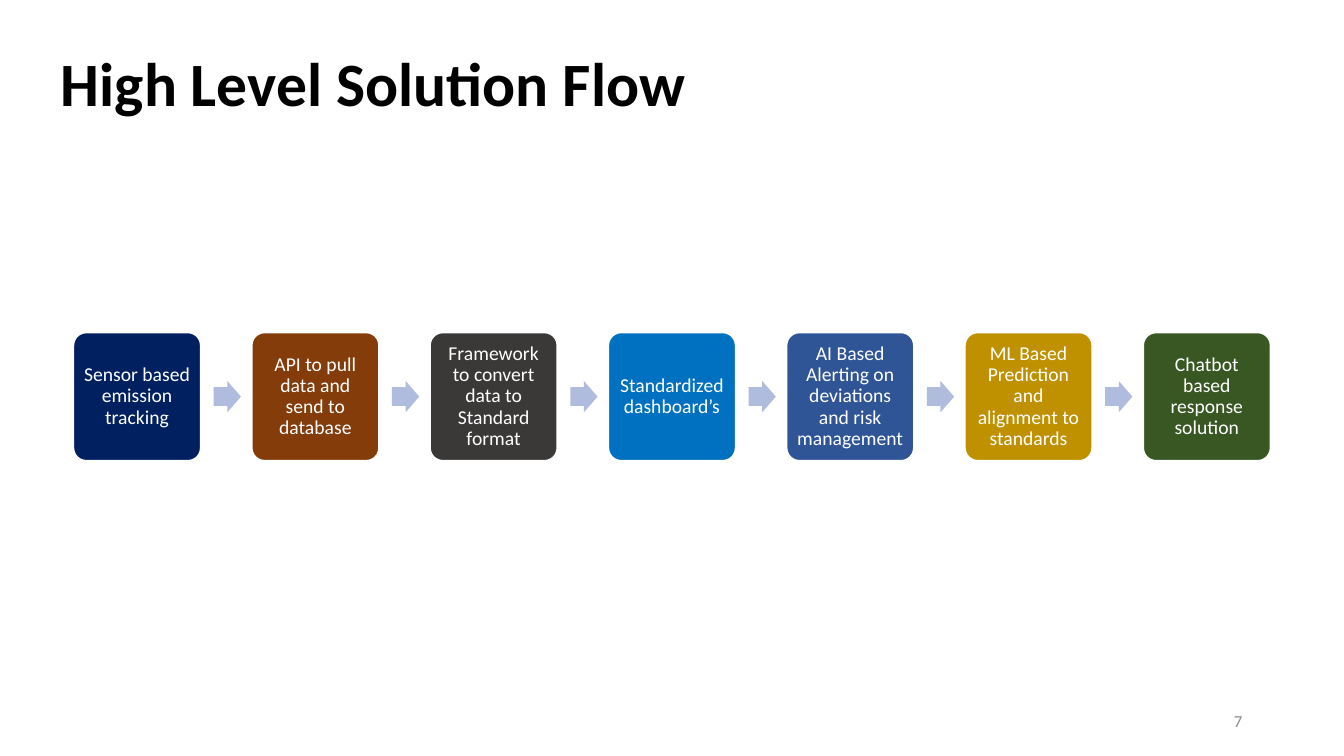
from pptx import Presentation
from pptx.dml.color import RGBColor
from pptx.enum.shapes import MSO_SHAPE
from pptx.enum.text import MSO_ANCHOR, MSO_AUTO_SIZE, PP_ALIGN
from pptx.util import Inches, Pt

ROUNDED, ARROW = MSO_SHAPE.ROUNDED_RECTANGLE, MSO_SHAPE.RIGHT_ARROW
MIDDLE, BOTTOM = MSO_ANCHOR.MIDDLE, MSO_ANCHOR.BOTTOM
CENTER, RIGHT = PP_ALIGN.CENTER, PP_ALIGN.RIGHT
NO_AUTOFIT = MSO_AUTO_SIZE.NONE

STEPS = [
    ("Sensor based emission tracking", "002060"),
    ("API to pull data and send to database", "843C0B"),
    ("Framework to convert data to Standard format", "3B3838"),
    ("Standardized dashboard’s", "0070C0"),
    ("AI Based Alerting on deviations and risk management", "2F5597"),
    ("ML Based Prediction and alignment to standards", "BF9000"),
    ("Chatbot based response solution", "385723"),
]
FIRST_LEFT, LAST_LEFT = 0.73, 11.34
STEP_PITCH = (LAST_LEFT - FIRST_LEFT) / (len(STEPS) - 1)
ARROW_OFFSET = 1.39


def color(hex_code):
    return RGBColor.from_string(hex_code)


class FlowSlide:
    font = "Calibri"
    arrow_fill = "B0BCDE"

    def __init__(self, slide):
        self.slide = slide

    def set_text(self, frame, text, size, hex_code, align, anchor, bold=False, spacing=None):
        frame.word_wrap = True
        frame.auto_size = NO_AUTOFIT
        frame.vertical_anchor = anchor
        line = frame.paragraphs[0]
        line.text = text
        line.alignment = align
        line.line_spacing = spacing
        line.font.name = self.font
        line.font.size = Pt(size)
        line.font.bold = bold
        line.font.color.rgb = color(hex_code)

    def title(self, text):
        heading = self.slide.shapes.title
        heading.left, heading.top = Inches(0.25), Inches(-0.21)
        heading.width, heading.height = Inches(6.91), Inches(1.45)
        self.set_text(heading.text_frame, text, 44, "000000", CENTER, BOTTOM, True, 0.9)

    def shape(self, kind, left, top, width, height, fill):
        drawn = self.slide.shapes.add_shape(
            kind, Inches(left), Inches(top), Inches(width), Inches(height))
        drawn.shadow.inherit = False
        drawn.fill.solid()
        drawn.fill.fore_color.rgb = color(fill)
        drawn.line.fill.background()
        return drawn

    def step(self, left, text, fill):
        card = self.shape(ROUNDED, left, 3.3, 1.26, 1.27, fill)
        card.adjustments[0] = 0.1
        card.line.color.rgb = color("FFFFFF")
        card.line.width = Pt(1)
        frame = card.text_frame
        frame.margin_left = frame.margin_right = Inches(0.06)
        frame.margin_top = frame.margin_bottom = Inches(0.06)
        self.set_text(frame, text, 14, "FFFFFF", CENTER, MIDDLE, spacing=0.9)

    def arrow(self, left):
        pointer = self.shape(ARROW, left, 3.78, 0.27, 0.31, self.arrow_fill)
        pointer.adjustments[0] = 0.6
        pointer.adjustments[1] = 0.5

    def page_number(self, number):
        box = self.slide.shapes.add_textbox(
            Inches(9.42), Inches(6.95), Inches(3), Inches(0.4))
        self.set_text(box.text_frame, number, 12, "8C8C8C", RIGHT, MIDDLE)


def main():
    deck = Presentation()
    deck.slide_width, deck.slide_height = Inches(13.33), Inches(7.5)
    title_only = deck.slide_layouts[5]
    flow = FlowSlide(deck.slides.add_slide(title_only))

    flow.title("High Level Solution Flow")
    for index, (text, fill) in enumerate(STEPS):
        left = FIRST_LEFT + index * STEP_PITCH
        flow.step(left, text, fill)
        if index < len(STEPS) - 1:
            flow.arrow(left + ARROW_OFFSET)
    flow.page_number("7")

    deck.save("out.pptx")


if __name__ == "__main__":
    main()
